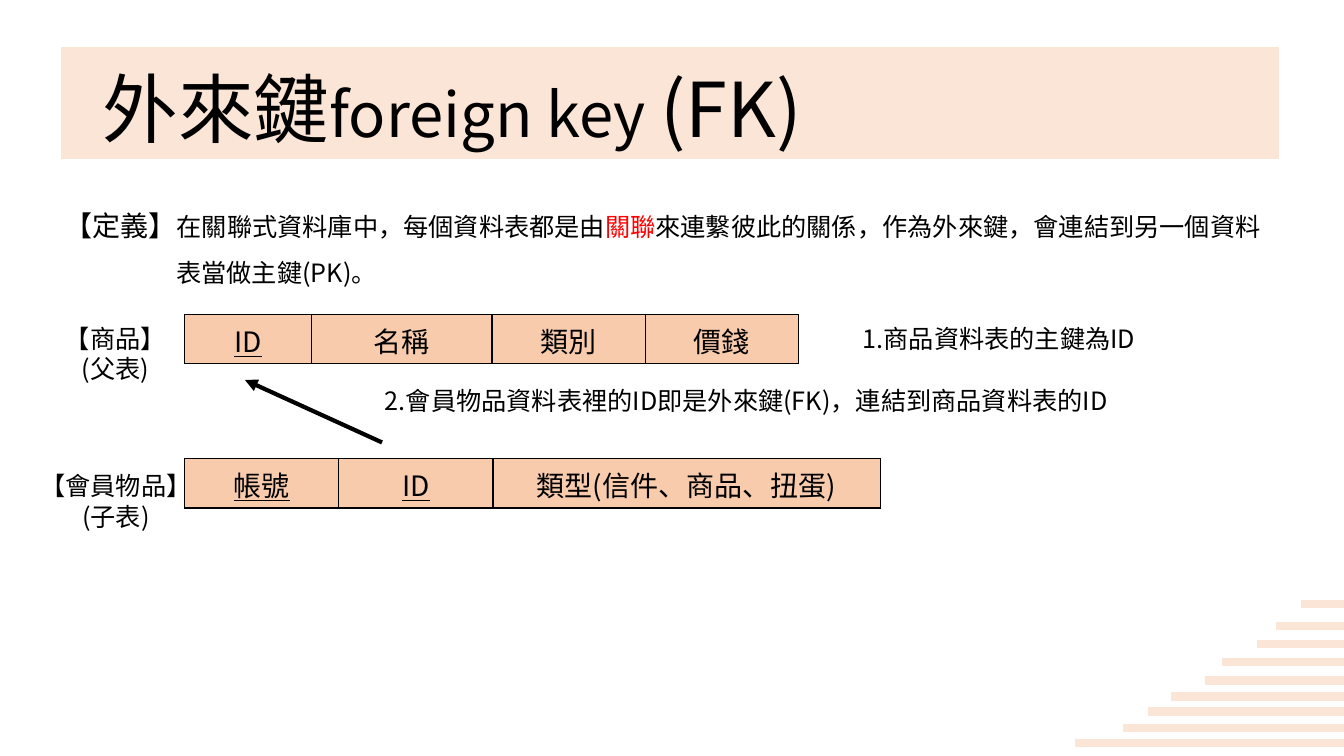
import pptx
import pptx.dml.color
import pptx.enum.shapes
import pptx.enum.text
import pptx.oxml.ns
import pptx.util
from lxml import etree

FONT = "Noto Sans CJK SC"
COLORS = {"ink": "000000", "accent": "FF0000", "band": "FBE5D6",
          "cell": "F8CBAD", "paper": "FFFFFF"}
ALIGN = pptx.enum.text.PP_ALIGN
ANCHOR = pptx.enum.text.MSO_ANCHOR
SLIDE_WIDTH = pptx.util.Inches(13.33)
SLIDE_HEIGHT = pptx.util.Inches(7.5)

# Left end and height of each corner stripe, in percent of the slide
STRIPES = [(79.95, 98.27), (83.55, 96.27), (85.43, 94.13), (87.15, 92.13),
           (89.63, 90), (90.9, 87.6), (93.53, 85.2), (94.95, 82.8),
           (96.83, 79.93)]


def across(percent):
    """Turn a percentage of the slide width into a length."""
    return int(SLIDE_WIDTH * percent / 100)


def down(percent):
    """Turn a percentage of the slide height into a length."""
    return int(SLIDE_HEIGHT * percent / 100)


def box(left, top, width, height):
    """Turn four percentages into a position and a size."""
    return across(left), down(top), across(width), down(height)


def color(name):
    """Look up a named colour."""
    return pptx.dml.color.RGBColor.from_string(COLORS[name])


def child(parent, tag, **attributes):
    """Append a DrawingML element to its parent."""
    return etree.SubElement(parent, pptx.oxml.ns.qn(tag), attributes)


def style_font(font, size, color_name="ink"):
    """Set typeface, size and colour, for Latin and Chinese text alike."""
    font.name = FONT
    font.size = pptx.util.Pt(size)
    font.color.rgb = color(color_name)
    child(font._element if hasattr(font, "_element") else font._rPr,
          "a:ea", typeface=FONT)


def fill_paragraph(paragraph, runs, align=ALIGN.LEFT, spacing=None):
    """Write (text, size, colour) runs; agreeing fonts go on the paragraph."""
    paragraph.alignment = align
    paragraph.line_spacing = spacing
    styles = {run[1:] for run in runs}
    if len(styles) == 1:
        style_font(paragraph.font, *styles.pop())
    for text, *style in runs:
        run = paragraph.add_run()
        run.text = text
        if len(runs) > 1:
            style_font(run.font, *style)


def add_text(slide, area, paragraphs, align=ALIGN.LEFT, spacing=None,
             anchor=ANCHOR.TOP, side_margin=0.1):
    """Add a wrapping text box; each paragraph is a list of runs."""
    frame = slide.shapes.add_textbox(*box(*area)).text_frame
    frame.word_wrap = True
    frame.vertical_anchor = anchor
    frame.margin_left = frame.margin_right = pptx.util.Inches(side_margin)
    for index, runs in enumerate(paragraphs):
        paragraph = frame.add_paragraph() if index else frame.paragraphs[0]
        fill_paragraph(paragraph, runs, align, spacing)
    return frame


def add_band(slide, area):
    """Add the tinted band behind the title."""
    band = slide.shapes.add_shape(
        pptx.enum.shapes.MSO_SHAPE.RECTANGLE, *box(*area))
    band.shadow.inherit = False
    band.fill.solid()
    band.fill.fore_color.rgb = color("band")
    band.line.color.rgb = color("paper")
    band.line.width = pptx.util.Pt(9)


def add_line(slide, start, end, color_name, width, arrow=False):
    """Add a straight line, with an arrowhead at its end if asked."""
    line = slide.shapes.add_connector(
        pptx.enum.shapes.MSO_CONNECTOR.STRAIGHT,
        across(start[0]), down(start[1]), across(end[0]), down(end[1]))
    line.line.color.rgb = color(color_name)
    line.line.width = pptx.util.Pt(width)
    if arrow:
        child(line.line._get_or_add_ln(), "a:tailEnd", type="triangle")
    child(line._element.spPr, "a:effectLst")


def border_cell(cell):
    """Draw a thin line on all four sides of a cell."""
    properties = cell._tc.get_or_add_tcPr()
    for index, side in enumerate(("a:lnL", "a:lnR", "a:lnT", "a:lnB")):
        border = child(properties, side, w=str(pptx.util.Pt(1)))
        child(child(border, "a:solidFill"), "a:srgbClr", val=COLORS["ink"])
        properties.insert(index, border)


def add_schema(slide, left, top, fields):
    """Add a one-row table of (name, column width, is key) fields."""
    area = box(left, top, sum(field[1] for field in fields), 6.53)
    table = slide.shapes.add_table(1, len(fields), *area).table
    table.first_row = table.horz_banding = False
    for index, (name, width, is_key) in enumerate(fields):
        table.columns[index].width = across(width)
        cell = table.cell(0, index)
        cell.fill.solid()
        cell.fill.fore_color.rgb = color("cell")
        border_cell(cell)
        paragraph = cell.text_frame.paragraphs[0]
        fill_paragraph(paragraph, [(name, 20, "ink")], ALIGN.CENTER)
        paragraph.font.underline = is_key


def add_definition(slide):
    """Add the definition, hanging behind its bracketed heading."""
    runs = [("【定義】", 20, "ink"),
            ("在關聯式資料庫中，每個資料表都是由", 18, "ink"),
            ("關聯", 18, "accent"),
            ("來連繫彼此的關係，作為外來鍵，會連結到另一個資料"
             "表當做主鍵(PK)。", 18, "ink")]
    frame = add_text(slide, (4.05, 24.67, 91.65, 14.13), [runs], spacing=1.5)
    hanging = pptx.util.Inches(1.11)
    properties = frame.paragraphs[0]._p.get_or_add_pPr()
    properties.set("marL", str(hanging))
    properties.set("indent", str(-hanging))


def main():
    """Build the foreign key slide."""
    presentation = pptx.Presentation()
    presentation.slide_width = SLIDE_WIDTH
    presentation.slide_height = SLIDE_HEIGHT
    slide = presentation.slides.add_slide(presentation.slide_layouts[6])

    add_band(slide, (4.05, 5.33, 91.6, 16.53))
    title = [("外來鍵", 54, "ink"), ("foreign key ", 44, "ink"),
             ("(FK)", 54, "ink")]
    add_text(slide, (6.9, 5.33, 86.25, 19.33), [title], spacing=0.9,
             anchor=ANCHOR.MIDDLE)
    add_definition(slide)

    for left, height in STRIPES:
        add_line(slide, (left, height), (100, height), "band", 6)

    add_schema(slide, 13.73, 60.67, [
        ("帳號", 11.48, True), ("ID", 11.48, True),
        ("類型(信件、商品、扭蛋)", 28.8, False)])
    add_schema(slide, 13.73, 41.6, [
        ("ID", 9.45, True), ("名稱", 13.43, False),
        ("類別", 11.4, False), ("價錢", 11.4, False)])
    add_line(slide, (28.43, 58.53), (18.23, 50.27), "ink", 3, arrow=True)

    notes = [((63.45, 42.13, 21.98, 5.33), "1.商品資料表的主鍵為ID"),
             ((27.9, 50.27, 55.58, 5.33),
              "2.會員物品資料表裡的ID即是外來鍵(FK)，連結到商品資料表的ID")]
    for area, text in notes:
        add_text(slide, area, [[(text, 18, "ink")]])

    labels = [((4.05, 42.13, 9.08, 9.47), ("【商品】", "(父表)")),
              ((2.18, 61.6, 12.9, 9.47), ("【會員物品】", "(子表)"))]
    for area, lines in labels:
        add_text(slide, area, [[(text, 18, "ink")] for text in lines],
                 ALIGN.CENTER, side_margin=0)

    presentation.save("out.pptx")


main()
